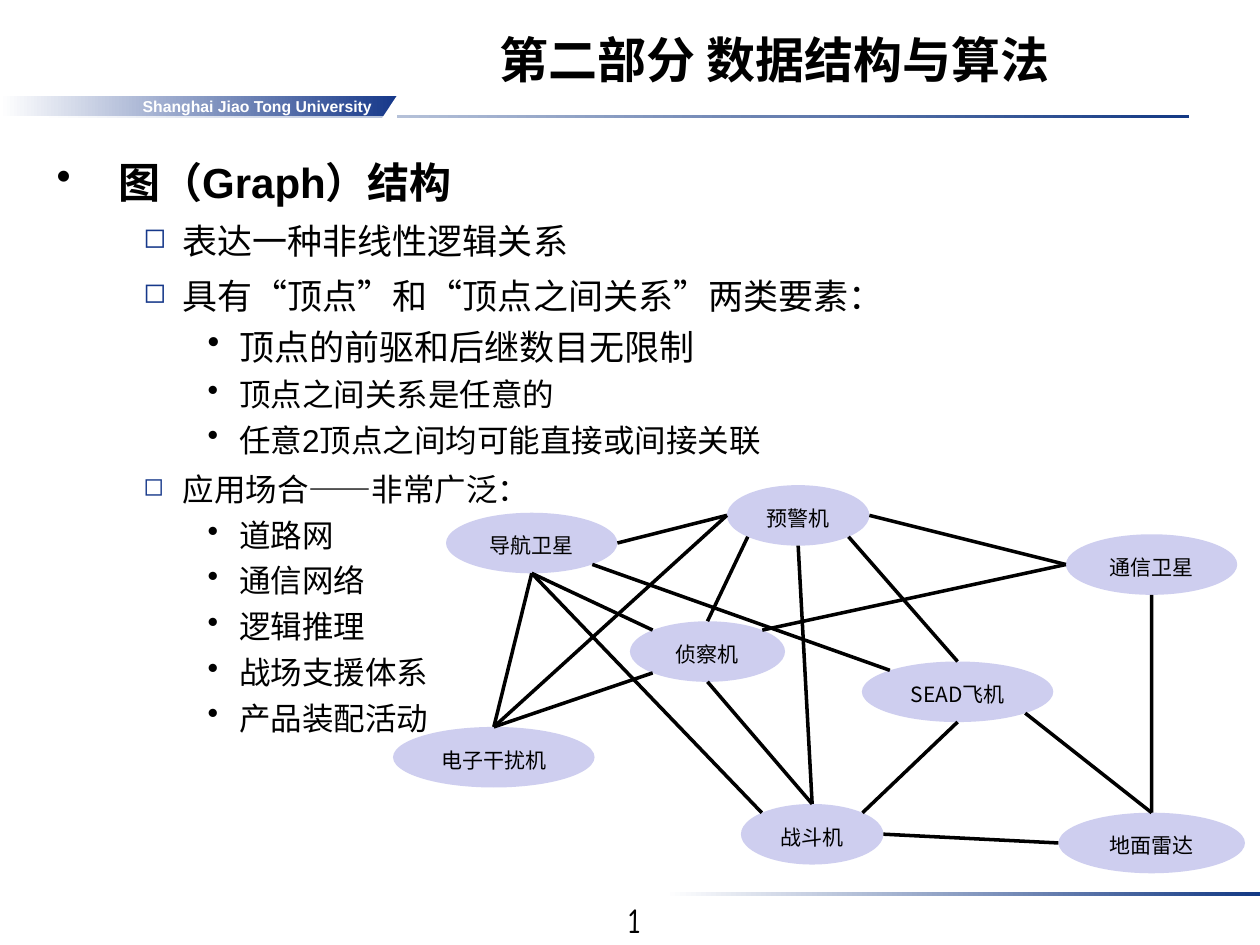
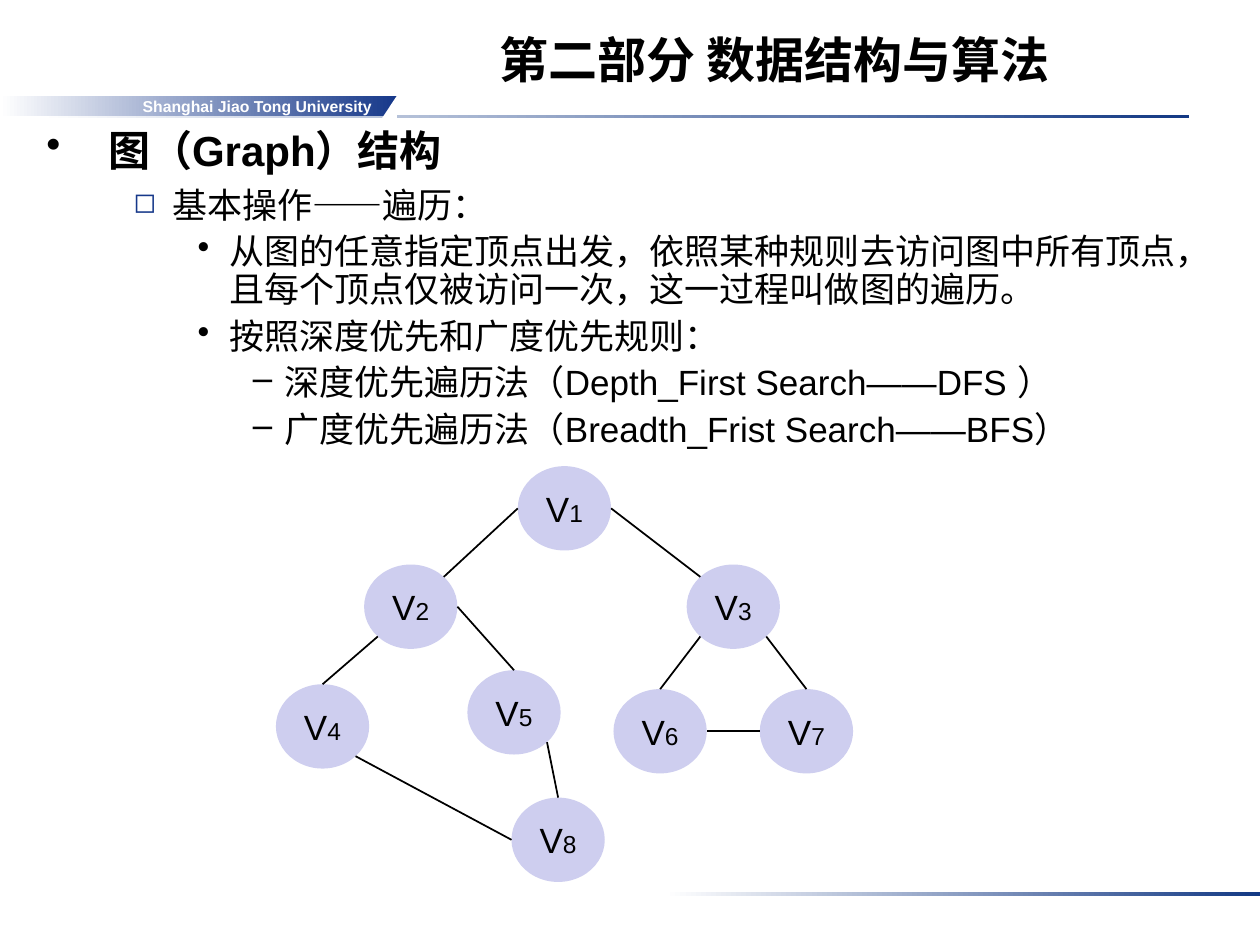
from math import cos, radians, sin

from lxml.etree import SubElement
from pptx import Presentation
from pptx.dml.color import RGBColor
from pptx.enum.shapes import MSO_CONNECTOR, MSO_SHAPE
from pptx.enum.text import MSO_ANCHOR as ANCHOR, PP_ALIGN as ALIGN
from pptx.oxml.ns import qn
from pptx.util import Pt

COLORS = {
    "ink": "000000",
    "paper": "FFFFFF",
    "rule": "133984",
    "band": "16388A",
    "node": "CECEEF",
}
LATIN, CJK = "Arial", "Noto Sans CJK SC"
TITLE = "第二部分 数据结构与算法"

# Body levels: left indent, hanging indent, bullet, bullet colour, bullet size in %
LEVELS = [
    (35.3, 35.3, "•", "ink", 100),
    (72, 22.3, "◻", "band", 80),
    (104.4, 18, "•", "ink", 100),
    (136, 18, "–", "ink", 100),
]

# Angle of each compass point on a node, clockwise from east
COMPASS = {d: radians(45 * i) for i, d in enumerate("E SE S SW W NW N NE".split())}

SLIDES = [
    {
        "number": "1",
        "body_at": (25.2, 82.8, 666, 410.4),
        "line_spacing": (1.1, 1.1, 1, 1),
        "body": [
            (0, 24, "图（Graph）结构"),
            (1, 20, "表达一种非线性逻辑关系"),
            (1, 20, "具有“顶点”和“顶点之间关系”两类要素："),
            (2, 20, "顶点的前驱和后继数目无限制"),
            (2, 18, "顶点之间关系是任意的"),
            (2, 18, "任意2顶点之间均可能直接或间接关联"),
            (1, 18, "应用场合——非常广泛："),
            (2, 18, "道路网"),
            (2, 18, "通信网络"),
            (2, 18, "逻辑推理"),
            (2, 18, "战场支援体系"),
            (2, 18, "产品装配活动"),
        ],
        "node_height": 34.6,
        "node_spacing": 1.2,
        "node_font": CJK,
        "nodes": {  # left, top, width, label runs
            "预警": (415.4, 277.2, 81.4, [("预警机", 12)]),
            "侦察": (360, 355, 88.6, [("侦察机", 12)]),
            "战斗": (423.4, 459.4, 81.4, [("战斗机", 12)]),
            "雷达": (604.8, 464.4, 106.6, [("地面雷达", 12)]),
            "SEAD": (492.5, 378, 109.4, [("SEAD飞机", 12)]),
            "通信": (609.1, 305.3, 97.9, [("通信卫星", 12)]),
            "干扰": (224.6, 415.4, 115.2, [("电子干扰机", 12)]),
            "导航": (254.9, 293, 97.9, [("导航卫星", 12)]),
        },
        "edge_width": 2,
        "edges": [
            "通信 W 预警 E", "SEAD N 预警 SE", "通信 S 雷达 N", "雷达 N SEAD SE",
            "预警 SW 侦察 N", "战斗 N 侦察 S", "雷达 W 战斗 E", "战斗 N 预警 S",
            "SEAD S 战斗 NE", "干扰 N 预警 W", "干扰 N 侦察 SW", "预警 W 导航 E",
            "侦察 NW 导航 S", "干扰 N 导航 S", "SEAD NW 导航 SE", "战斗 NW 导航 S",
            "通信 W 侦察 NE",
        ],
    },
    {
        "number": None,
        "body_at": (19.4, 67.7, 666, 425.5),
        "line_spacing": (1, 1, 0.9, 0.9),
        "body": [
            (0, 24, "图（Graph）结构"),
            (1, 20, "基本操作——遍历："),
            (2, 20, "从图的任意指定顶点出发，依照某种规则去访问图中所有顶点，"
                    "且每个顶点仅被访问一次，这一过程叫做图的遍历。"),
            (2, 20, "按照深度优先和广度优先规则："),
            (3, 20, "深度优先遍历法（Depth_First Search——DFS ）"),
            (3, 20, "广度优先遍历法（Breadth_Frist Search——BFS）"),
        ],
        "node_height": 48.2,
        "node_spacing": 1,
        "node_font": LATIN,
        "nodes": {
            f"V{i}": (x, y, 53.3, [("V", 20), (str(i), 14)])
            for i, (x, y) in enumerate([
                (295.9, 266.4), (208.1, 322.6), (392.4, 322.6), (157.7, 391),
                (267.1, 383), (350.6, 393.8), (434.2, 393.8), (292.3, 455.8),
            ], 1)
        },
        "edge_width": 1,
        "edges": [
            "V3 SE V7 N", "V3 SW V6 N", "V1 E V3 NW", "V1 W V2 NE", "V2 SW V4 N",
            "V2 E V5 N", "V4 SE V8 W", "V8 N V5 SE", "V7 W V6 E",
        ],
    },
]


def add_block(shapes, kind, box, *fill):
    """Add a borderless shape (a text box if kind is None); two fills make a gradient."""
    box = [Pt(v) for v in box]
    sp = shapes.add_textbox(*box) if kind is None else shapes.add_shape(kind, *box)
    sp.text_frame.word_wrap = True
    if kind is None:
        return sp
    sp.shadow.inherit = False
    sp.line.fill.background()
    if len(fill) == 2:
        sp.fill.gradient()
        sp.fill.gradient_angle = 0
        for stop, name in zip(sp.fill.gradient_stops, fill):
            stop.color.rgb = RGBColor.from_string(COLORS[name])
    else:
        sp.fill.solid()
        sp.fill.fore_color.rgb = RGBColor.from_string(COLORS[fill[0]])
    return sp


def add_run(p, text, size, font=LATIN, color="ink", bold=False):
    r = p.add_run()
    r.text = text
    for name, value in {"name": font, "size": Pt(size), "bold": bold}.items():
        setattr(r.font, name, value)
    r.font.color.rgb = RGBColor.from_string(COLORS[color])
    SubElement(r.font._element, qn("a:ea"), typeface=CJK)


prs = Presentation()
prs.slide_width, prs.slide_height = Pt(720), Pt(540)

for page in SLIDES:
    s = prs.slides.add_slide(prs.slide_layouts[6])

    # Rules and university band
    for rule in [(22.3, 65.5, 657.4, 2.2), (380.2, 509.8, 339.8, 2.2)]:
        add_block(s.shapes, MSO_SHAPE.RECTANGLE, rule, "paper", "rule")
    band = add_block(s.shapes, MSO_SHAPE.RECTANGLE, (0, 54.7, 226.8, 11.5), "paper", "band")
    tf = band.text_frame
    tf.word_wrap = False
    tf.vertical_anchor = ANCHOR.MIDDLE
    tf.margin_right = Pt(14.4)
    p = tf.paragraphs[0]
    p.alignment = ALIGN.RIGHT
    add_run(p, "Shanghai Jiao Tong University", 9, color="paper", bold=True)
    corner = add_block(s.shapes, MSO_SHAPE.RIGHT_TRIANGLE, (218.2, 54.7, 8.6, 13), "paper")
    corner._element.spPr.xfrm.set("flipH", "1")

    # Title and page number
    tf = add_block(s.shapes, None, (186.5, 0, 511.9, 54)).text_frame
    tf.vertical_anchor = ANCHOR.BOTTOM
    p = tf.paragraphs[0]
    p.alignment = ALIGN.CENTER
    add_run(p, TITLE, 28, bold=True)
    if page["number"]:
        p = add_block(s.shapes, None, (278.6, 509.8, 167.8, 20.9)).text_frame.paragraphs[0]
        p.alignment = ALIGN.CENTER
        add_run(p, page["number"], 20, "Comic Neue")

    # Bulleted body
    tf = add_block(s.shapes, None, page["body_at"]).text_frame
    for i, (level, size, text) in enumerate(page["body"]):
        p = tf.add_paragraph() if i else tf.paragraphs[0]
        indent, hanging, bullet, color, percent = LEVELS[level]
        p.level = level
        p.line_spacing = page["line_spacing"][level]
        p.space_before = Pt(size / 4 if i else 0)
        pPr = p._p.get_or_add_pPr()
        pPr.set("marL", str(Pt(indent)))
        pPr.set("indent", str(-Pt(hanging)))
        SubElement(SubElement(pPr, qn("a:buClr")), qn("a:srgbClr"), val=COLORS[color])
        SubElement(pPr, qn("a:buSzPct"), val=str(percent * 1000))
        SubElement(pPr, qn("a:buChar"), char=bullet)
        add_run(p, text, size, bold=level == 0)

    # Graph: nodes, then edges between compass points of the nodes
    graph = s.shapes.add_group_shape().shapes
    height = page["node_height"]
    for left, top, width, label in page["nodes"].values():
        node = add_block(graph, MSO_SHAPE.OVAL, (left, top, width, height), "node")
        tf = node.text_frame
        tf.word_wrap = False
        tf.vertical_anchor = ANCHOR.MIDDLE
        p = tf.paragraphs[0]
        p.alignment = ALIGN.CENTER
        p.line_spacing = page["node_spacing"]
        for text, size in label:
            add_run(p, text, size, page["node_font"])

    for edge in page["edges"]:
        start, start_side, end, end_side = edge.split()
        ends = []
        for name, side in [(start, start_side), (end, end_side)]:
            left, top, width, _ = page["nodes"][name]
            ends += [Pt(left + width / 2 * (1 + cos(COMPASS[side]))),
                     Pt(top + height / 2 * (1 + sin(COMPASS[side])))]
        line = graph.add_connector(MSO_CONNECTOR.STRAIGHT, *ends)
        line.line.width = Pt(page["edge_width"])
        line.line.color.rgb = RGBColor.from_string(COLORS["ink"])
        SubElement(line._element.spPr, qn("a:effectLst"))

prs.save("out.pptx")
